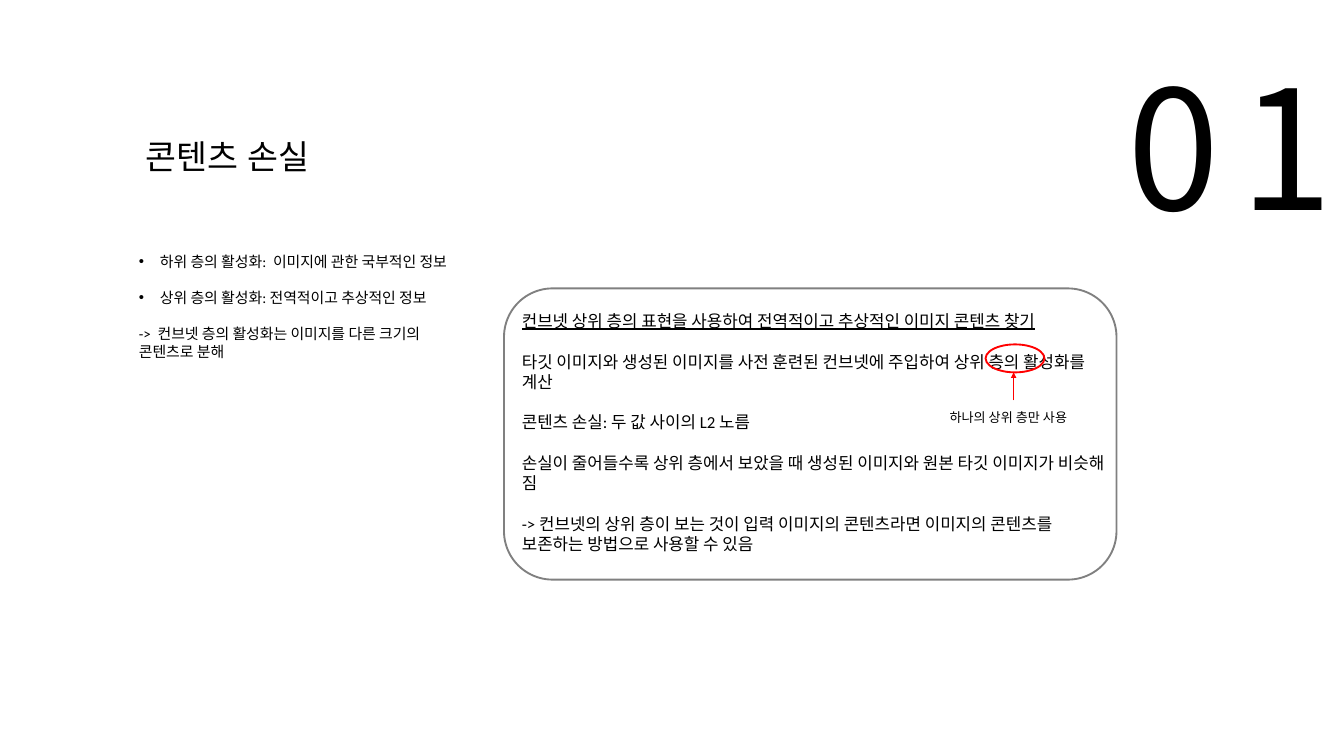
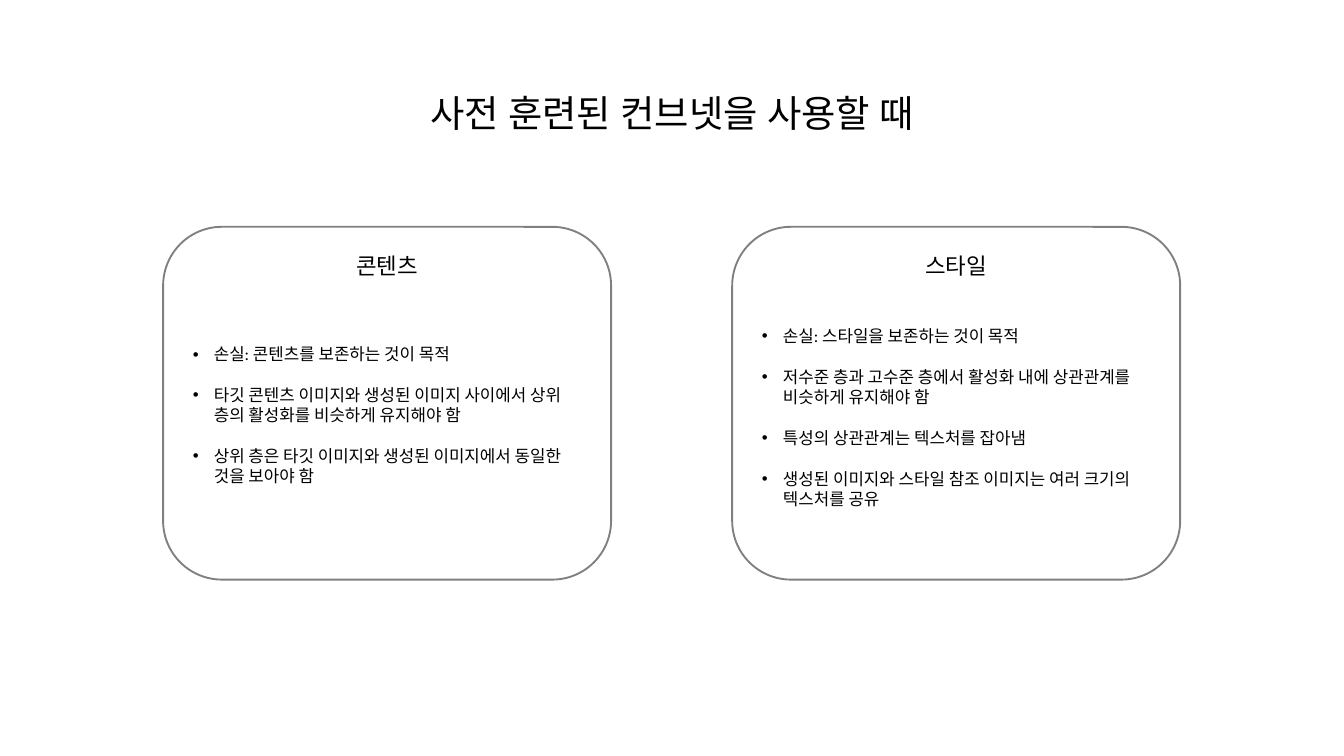
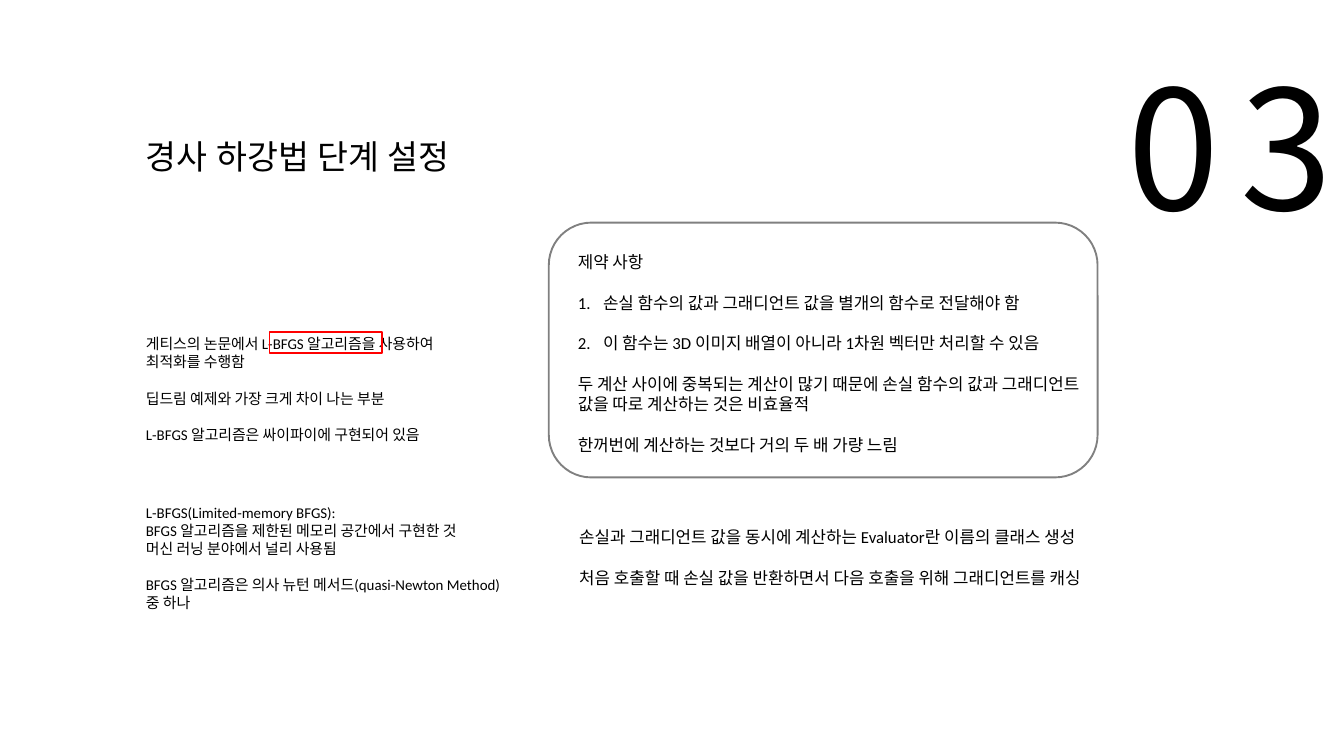
"""Builds three slides on content loss, pretrained convnets and gradient descent."""
from dataclasses import dataclass

from lxml import etree
from pptx import Presentation
from pptx.dml.color import RGBColor
from pptx.enum.lang import MSO_LANGUAGE_ID
from pptx.enum.shapes import MSO_CONNECTOR, MSO_SHAPE
from pptx.enum.text import MSO_AUTO_SIZE, PP_ALIGN
from pptx.oxml.ns import qn
from pptx.util import Emu, Pt

LEFT, CENTER = PP_ALIGN.LEFT, PP_ALIGN.CENTER
ELLIPSE, RECT, ROUNDED = MSO_SHAPE.OVAL, MSO_SHAPE.RECTANGLE, MSO_SHAPE.ROUNDED_RECTANGLE
STRAIGHT = MSO_CONNECTOR.STRAIGHT
GROW = MSO_AUTO_SIZE.SHAPE_TO_FIT_TEXT
KOREAN = MSO_LANGUAGE_ID.KOREAN
EMU_PER_PX = 9525
BULLET, NUMBER = "bullet", "number"


@dataclass(frozen=True)
class Theme:
    ink: str = "000000"
    border: str = "808080"
    accent: str = "FF0000"
    body_face: str = "Calibri"
    title_face: str = "Lato"
    heading_face: str = "Arial"
    number_face: str = "Noto Sans CJK KR"
    number: int = 178
    number_spacing: int = 23
    banner: int = 40
    title: int = 36
    heading: int = 24
    body: int = 18
    side: int = 16
    label: int = 14
    line_height: float = 1.22
    outline: float = 2
    arrow: float = 0.75


@dataclass(frozen=True)
class Item:
    text: str
    marker: str = ""
    underline: bool = False
    gap: bool = True


def px(length):
    return Emu(length * EMU_PER_PX)


class Deck:
    def __init__(self, theme):
        self.theme = theme
        self.presentation = Presentation()
        self.presentation.slide_width = px(1920)
        self.presentation.slide_height = px(1080)
        self.slide = None

    def new_slide(self):
        blank = self.presentation.slide_layouts[6]
        self.slide = self.presentation.slides.add_slide(blank)

    def text(self, area, items, size, face=None, align=LEFT, wrap=True, spacing=0):
        frame = self.slide.shapes.add_textbox(*map(px, area)).text_frame
        frame.word_wrap = wrap
        frame.auto_size = GROW
        for index, item in enumerate(items):
            paragraph = frame.add_paragraph() if index else frame.paragraphs[0]
            paragraph.alignment = align
            if item.marker:
                self.mark(paragraph, item.marker)
            if index and item.gap:
                paragraph.space_before = Pt(round(size * self.theme.line_height, 1))
            run = paragraph.add_run()
            run.text = item.text
            self.style(run, size, face or self.theme.body_face, item.underline, spacing)

    def style(self, run, size, face, underline, spacing):
        font = run.font
        font.size = Pt(size)
        font.name = face
        font.color.rgb = RGBColor.from_string(self.theme.ink)
        font.language_id = KOREAN
        if underline:
            font.underline = True
        properties = run._r.get_or_add_rPr()
        etree.SubElement(properties, qn("a:ea"), typeface=face)
        if spacing:
            properties.set("spc", str(spacing * 100))

    def mark(self, paragraph, marker):
        indent = px(30 if marker == BULLET else 36)
        properties = paragraph._p.get_or_add_pPr()
        properties.set("marL", str(indent))
        properties.set("indent", str(-indent))
        if marker == BULLET:
            etree.SubElement(properties, qn("a:buFont"), typeface="Arial")
            etree.SubElement(properties, qn("a:buChar"), char="•")
        else:
            etree.SubElement(properties, qn("a:buAutoNum"), type="arabicPeriod")

    def outline(self, preset, area, color):
        shape = self.slide.shapes.add_shape(preset, *map(px, area))
        shape.shadow.inherit = False
        shape.fill.background()
        shape.line.color.rgb = RGBColor.from_string(color)
        shape.line.width = Pt(self.theme.outline)

    def card(self, area):
        self.outline(ROUNDED, area, self.theme.border)

    def highlight(self, preset, area):
        self.outline(preset, area, self.theme.accent)

    def arrow(self, start, end):
        connector = self.slide.shapes.add_connector(STRAIGHT, *map(px, start + end))
        connector.line.color.rgb = RGBColor.from_string(self.theme.accent)
        connector.line.width = Pt(self.theme.arrow)
        etree.SubElement(connector.line._get_or_add_ln(), qn("a:tailEnd"), type="triangle")
        etree.SubElement(connector._element.spPr, qn("a:effectLst"))

    def section(self, number, title):
        theme = self.theme
        self.new_slide()
        self.text((1540, 58, 435, 298), [Item(number)], theme.number, theme.number_face,
                  CENTER, spacing=theme.number_spacing)
        self.text((199, 190, 674, 68), [Item(title)], theme.title, theme.title_face)


def content_loss(deck):
    theme = deck.theme
    deck.section("01", "콘텐츠 손실")
    deck.text((189, 356, 499, 165), [
        Item("하위 층의 활성화:  이미지에 관한 국부적인 정보", BULLET),
        Item("상위 층의 활성화: 전역적이고 추상적인 정보", BULLET),
        Item("->  컨브넷 층의 활성화는 이미지를 다른 크기의 콘텐츠로 분해"),
    ], theme.side)
    deck.text((736, 439, 858, 359), [
        Item("컨브넷 상위 층의 표현을 사용하여 전역적이고 추상적인 이미지 콘텐츠 찾기", underline=True),
        Item("타깃 이미지와 생성된 이미지를 사전 훈련된 컨브넷에 주입하여 상위 층의 활성화를 계산"),
        Item("콘텐츠 손실: 두 값 사이의 L2 노름"),
        Item("손실이 줄어들수록 상위 층에서 보았을 때 생성된 이미지와 원본 타깃 이미지가 비슷해 짐"),
        Item("-> 컨브넷의 상위 층이 보는 것이 입력 이미지의 콘텐츠라면 "
             "이미지의 콘텐츠를 보존하는 방법으로 사용할 수 있음"),
    ], theme.body)
    deck.highlight(ELLIPSE, (1408, 492, 84, 40))
    deck.arrow((1448, 572), (1448, 532))
    deck.text((1347, 580, 202, 33), [Item("하나의 상위 층만 사용")], theme.label, wrap=False)
    deck.card((720, 412, 875, 416))


def pretrained_convnet(deck):
    theme = deck.theme
    deck.new_slide()
    deck.text((93, 124, 1734, 74), [Item("사전 훈련된 컨브넷을 사용할 때")],
              theme.banner, theme.title_face, CENTER)
    columns = [
        ("콘텐츠", 487, [
            "손실: 콘텐츠를 보존하는 것이 목적",
            "타깃 콘텐츠 이미지와 생성된 이미지 사이에서 상위 층의 활성화를 비슷하게 유지해야 함",
            "상위 층은 타깃 이미지와 생성된 이미지에서 동일한 것을 보아야 함",
        ]),
        ("스타일", 461, [
            "손실: 스타일을 보존하는 것이 목적",
            "저수준 층과 고수준 층에서 활성화 내에 상관관계를 비슷하게 유지해야 함",
            "특성의 상관관계는 텍스처를 잡아냄",
            "생성된 이미지와 스타일 참조 이미지는 여러 크기의 텍스처를 공유",
        ]),
    ]
    for index, (heading, top, points) in enumerate(columns):
        left = 233 + 813 * index
        deck.text((left + 105, 355, 430, 48), [Item(heading)],
                  theme.heading, theme.heading_face, CENTER)
        deck.text((left + 33, top, 575, 700 - top),
                  [Item(point, BULLET) for point in points], theme.body)
        deck.card((left, 324, 640, 504))


def gradient_descent(deck):
    theme = deck.theme
    deck.section("03", "경사 하강법 단계 설정")
    deck.text((199, 474, 457, 165), [
        Item("게티스의 논문에서 L-BFGS 알고리즘을 사용하여 최적화를 수행함"),
        Item("딥드림 예제와 가장 크게 차이 나는 부분"),
        Item("L-BFGS 알고리즘은 싸이파이에 구현되어 있음"),
    ], theme.side)
    deck.text((199, 715, 543, 165), [
        Item("L-BFGS(Limited-memory BFGS):"),
        Item("BFGS 알고리즘을 제한된 메모리 공간에서 구현한 것", gap=False),
        Item("머신 러닝 분야에서 널리 사용됨", gap=False),
        Item("BFGS 알고리즘은 의사 뉴턴 메서드(quasi-Newton Method) 중 하나"),
    ], theme.side)
    deck.highlight(RECT, (385, 474, 161, 30))
    deck.text((816, 355, 784, 300), [
        Item("제약 사항"),
        Item("손실 함수의 값과 그래디언트 값을 별개의 함수로 전달해야 함", NUMBER),
        Item("이 함수는 3D 이미지 배열이 아니라 1차원 벡터만 처리할 수 있음", NUMBER),
        Item("두 계산 사이에 중복되는 계산이 많기 때문에 손실 함수의 값과 "
             "그래디언트 값을 따로 계산하는 것은 비효율적"),
        Item("한꺼번에 계산하는 것보다 거의 두 배 가량 느림"),
    ], theme.body)
    deck.text((818, 748, 875, 97), [
        Item("손실과 그래디언트 값을 동시에 계산하는 Evaluator란 이름의 클래스 생성"),
        Item("처음 호출할 때 손실 값을 반환하면서 다음 호출을 위해 그래디언트를 캐싱"),
    ], theme.body)
    deck.card((784, 318, 784, 364))


def main():
    deck = Deck(Theme())
    content_loss(deck)
    pretrained_convnet(deck)
    gradient_descent(deck)
    deck.presentation.save("out.pptx")


if __name__ == "__main__":
    main()
